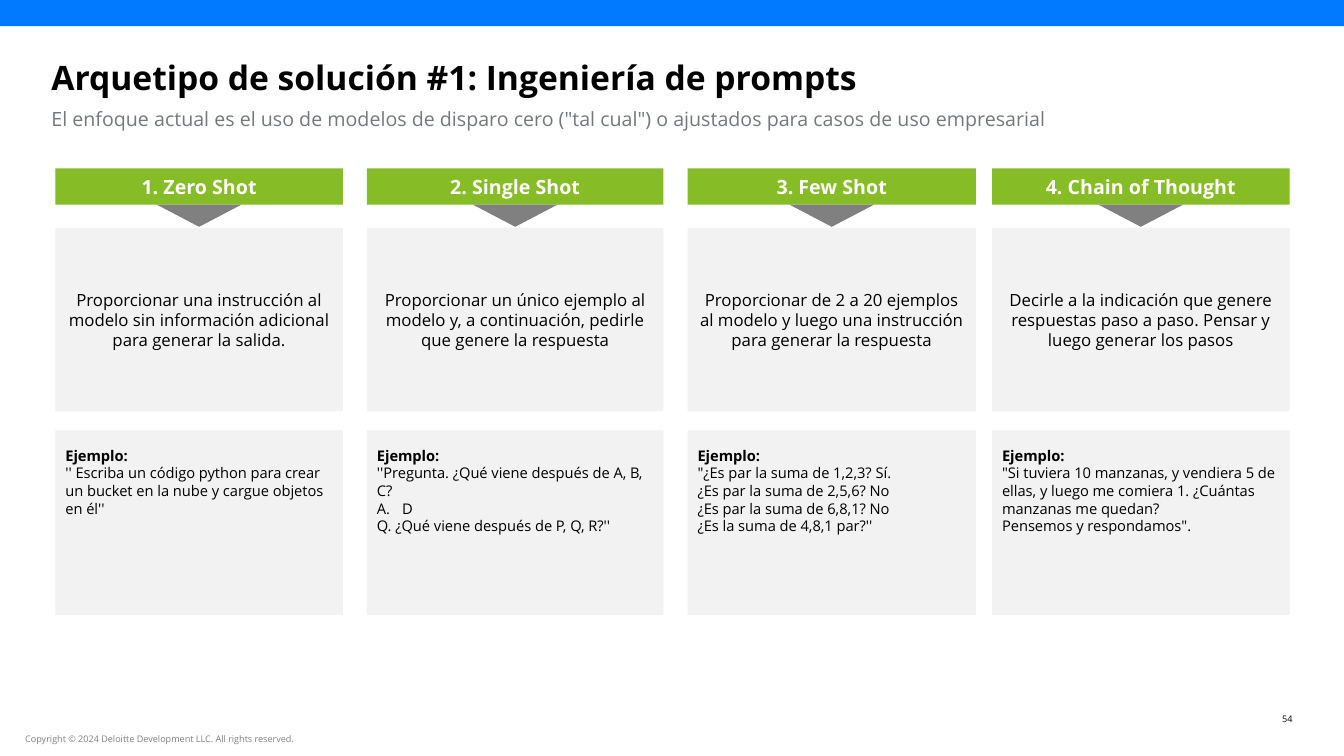
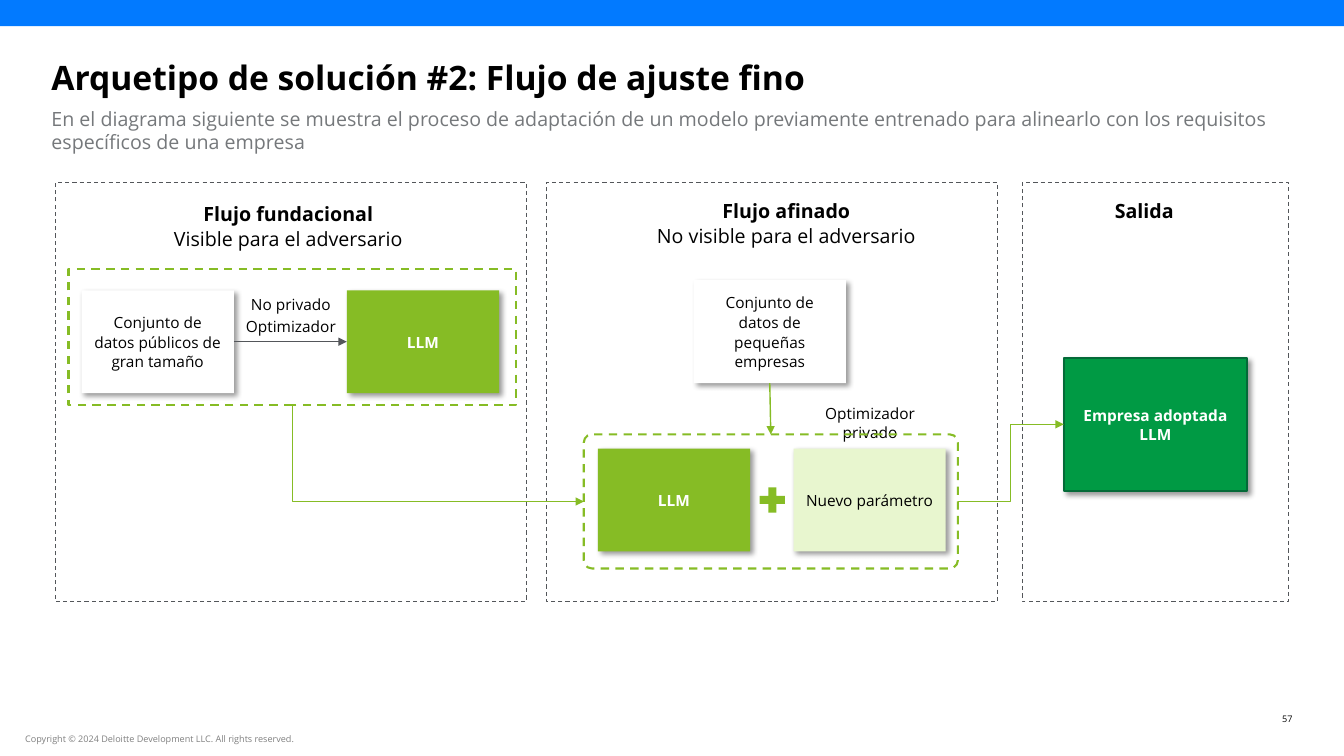
from lxml import etree
from pptx import Presentation
from pptx.dml.color import RGBColor
from pptx.enum.dml import MSO_LINE
from pptx.enum.shapes import MSO_CONNECTOR, MSO_SHAPE
from pptx.enum.text import MSO_ANCHOR, MSO_AUTO_SIZE, PP_ALIGN
from pptx.oxml.ns import qn
from pptx.util import Inches, Pt

RECT, ROUND = MSO_SHAPE.RECTANGLE, MSO_SHAPE.ROUNDED_RECTANGLE
MERGE, PLUS = MSO_SHAPE.FLOWCHART_MERGE, MSO_SHAPE.MATH_PLUS
STRAIGHT, ELBOW = MSO_CONNECTOR.STRAIGHT, MSO_CONNECTOR.ELBOW
LEFT, CENTER, RIGHT = PP_ALIGN.LEFT, PP_ALIGN.CENTER, PP_ALIGN.RIGHT
TOP, MIDDLE = MSO_ANCHOR.TOP, MSO_ANCHOR.MIDDLE
DASH = MSO_LINE.DASH

BLACK = RGBColor(0x00, 0x00, 0x00)
WHITE = RGBColor(0xFF, 0xFF, 0xFF)
BLUE = RGBColor(0x02, 0x7A, 0xFF)
LIME = RGBColor(0x86, 0xBC, 0x25)
PALE = RGBColor(0xE8, 0xF6, 0xCF)
GREEN = RGBColor(0x00, 0x9A, 0x44)
FOREST = RGBColor(0x04, 0x6A, 0x38)
LIGHT = RGBColor(0xF2, 0xF2, 0xF2)
GRAY = RGBColor(0x80, 0x80, 0x80)
SLATE = RGBColor(0x75, 0x78, 0x7B)
DARK = RGBColor(0x53, 0x56, 0x5A)

FONT = "Open Sans"
NONE = (0, 0, 0, 0)
PAD = (0.1, 0.05, 0.1, 0.05)
COPY = "Copyright © 2024 Deloitte Development LLC. All rights reserved."
HEAD = {"size": 14, "bold": True, "color": WHITE}
NOTE = {"size": 12}
CODE = {"size": 10.5, "align": LEFT, "anchor": TOP, "inset": (0.1, 0.16, 0.1, 0.05)}
NODE = {"size": 11, "spacing": 1.06, "inset": (0.1,) * 4}
STRONG = {**NODE, "bold": True, "color": WHITE}
LABEL = {"size": 11, "anchor": TOP, "inset": NONE}
STAGE = {"size": 14, "spacing": 1.06, "anchor": TOP}
CARD = (1.51, 1.02)


def write(frame, lines, size=12, bold=False, color=BLACK, align=CENTER,
          anchor=MIDDLE, inset=PAD, spacing=None, gap=0):
    """Fill a frame; a line is text or (text, changes), where a change may be a numbered list."""
    look = {"word_wrap": True, "auto_size": MSO_AUTO_SIZE.NONE, "vertical_anchor": anchor}
    sides = ("margin_left", "margin_top", "margin_right", "margin_bottom")
    look.update(zip(sides, map(Inches, inset)))
    for name, value in look.items():
        setattr(frame, name, value)
    for i, line in enumerate(lines):
        text, change = (line, {}) if isinstance(line, str) else line
        para = frame.paragraphs[0] if i == 0 else frame.add_paragraph()
        para.text = text
        form = {"alignment": align, "line_spacing": spacing,
                "space_before": Pt(gap if i else 0)}
        for name, value in form.items():
            setattr(para, name, value)
        props = para._p.get_or_add_pPr()
        mark = change.get("list")
        indent = Inches(0.25) if mark else 0
        props.set("marL", str(indent))
        props.set("indent", str(-indent))
        if mark:
            etree.SubElement(props, qn("a:buAutoNum"), type=mark)
        else:
            etree.SubElement(props, qn("a:buNone"))
        style = {"name": FONT, "size": Pt(size), "bold": change.get("bold", bold)}
        for name, value in style.items():
            setattr(para.font, name, value)
        para.font.color.rgb = color


def place(shape, at):
    for name, value in zip(("left", "top", "width", "height"), at):
        setattr(shape, name, Inches(value))


def stroke(line, color, width, dash=None):
    line.color.rgb = color
    line.width = Pt(width)
    if dash:
        line.dash_style = dash


def draw(slide, at, fill=None, line=None, kind=RECT, lines=(), text=None):
    shape = slide.shapes.add_shape(kind, *map(Inches, at))
    shape.shadow.inherit = False
    if fill is None:
        shape.fill.background()
    else:
        shape.fill.solid()
        shape.fill.fore_color.rgb = fill
    if line:
        stroke(shape.line, *line)
    else:
        shape.line.fill.background()
    if lines:
        write(shape.text_frame, lines, **text)
    return shape


def label(slide, at, lines, **text):
    box = slide.shapes.add_textbox(*map(Inches, at))
    write(box.text_frame, lines, **text)


def card(slide, at, fill, lines, text=NODE, line=None):
    """Draw a box with a soft shadow to the lower right."""
    shape = draw(slide, at, fill, line, lines=lines, text=text)
    effects = shape._element.spPr.find(qn("a:effectLst"))
    shade = etree.SubElement(effects, qn("a:outerShdw"), blurRad=str(Pt(4)),
                             dist=str(Pt(3)), dir="2700000", algn="tl", rotWithShape="0")
    tone = etree.SubElement(shade, qn("a:srgbClr"), val="000000")
    etree.SubElement(tone, qn("a:alpha"), val="40000")
    return shape


def arrow(slide, start, end, sides, color=LIME, width=1, kind=STRAIGHT):
    link = slide.shapes.add_connector(kind, 0, 0, 0, 0)
    link.begin_connect(start, sides[0])
    link.end_connect(end, sides[1])
    stroke(link.line, color, width)
    etree.SubElement(link.line._get_or_add_ln(), qn("a:tailEnd"), type="triangle")
    etree.SubElement(link._element.spPr, qn("a:effectLst"))
    return link


def corner(link):
    """Turn an elbow into one bend that goes down, then right."""
    x, y, w, h = link.left, link.top, link.width, link.height
    link.left, link.top = x + (w - h) // 2, y + (h - w) // 2
    link.width, link.height = h, w
    props = link._element.spPr
    frame = props.find(qn("a:xfrm"))
    frame.set("rot", "16200000")
    frame.set("flipH", "1")
    props.find(qn("a:prstGeom")).set("prst", "bentConnector2")


def base(deck, title, lead, page):
    """Add a slide with the shared band, title, lead and footer."""
    slide = deck.slides.add_slide(deck.slide_layouts[1])
    head, body = slide.placeholders
    plain = {"align": LEFT, "anchor": TOP, "inset": NONE}
    place(head, (0.51, 0.56, 12.31, 0.37))
    write(head.text_frame, [title], size=24, bold=True, **plain)
    place(body, (0.51, 1.06, 12.31, 0.47))
    write(body.text_frame, [lead], size=14, color=SLATE, **plain)
    draw(slide, (0, 0, 13.33, 0.26), BLUE)
    label(slide, (0.25, 7.28, 5.86, 0.11), [COPY], size=6.5, color=GRAY, **plain)
    label(slide, (12.48, 7.08, 0.34, 0.11), [page], size=6.5, **{**plain, "align": RIGHT})
    return slide


def column(slide, x, y, w, head, note, sample):
    draw(slide, (x, y, w, 0.36), LIME, lines=[head], text=HEAD)
    draw(slide, (x + (w - 0.84) / 2, y + 0.36, 0.84, 0.22), GRAY, kind=MERGE)
    draw(slide, (x, y + 0.59, w, 1.82), LIGHT, lines=[note], text=NOTE)
    lines = [("Ejemplo:", {"bold": True}), *sample]
    draw(slide, (x, y + 2.6, w, 1.83), LIGHT, lines=lines, text=CODE)


def prompts(deck):
    slide = base(
        deck, "Arquetipo de solución #1: Ingeniería de prompts",
        'El enfoque actual es el uso de modelos de disparo cero ("tal cual") o ajustados '
        "para casos de uso empresarial", "54")
    columns = [
        (0.55, 2.85, "1. Zero Shot",
         "Proporcionar una instrucción al modelo sin información adicional para generar "
         "la salida.",
         ["'' Escriba un código python para crear un bucket en la nube y cargue objetos "
          "en él''"]),
        (3.64, 2.94, "2. Single Shot",
         "Proporcionar un único ejemplo al modelo y, a continuación, pedirle que genere "
         "la respuesta",
         ["''Pregunta. ¿Qué viene después de A, B, C?", ("D", {"list": "alphaUcPeriod"}),
          "Q. ¿Qué viene después de P, Q, R?''"]),
        (6.82, 2.86, "3. Few Shot",
         "Proporcionar de 2 a 20 ejemplos al modelo y luego una instrucción para generar "
         "la respuesta",
         ['"¿Es par la suma de 1,2,3? Sí.', "¿Es par la suma de 2,5,6? No",
          "¿Es par la suma de 6,8,1? No", "¿Es la suma de 4,8,1 par?''"]),
        (9.84, 2.95, "4. Chain of Thought",
         "Decirle a la indicación que genere respuestas paso a paso. Pensar y luego "
         "generar los pasos",
         ['"Si tuviera 10 manzanas, y vendiera 5 de ellas, y luego me comiera 1. '
          '¿Cuántas manzanas me quedan?', 'Pensemos y respondamos".']),
    ]
    for x, w, *texts in columns:
        column(slide, x, 1.67, w, *texts)


def panel(slide, x, y, w, shift, drop, title, *rest):
    """Draw a dashed stage whose heading sits at an offset from its corner."""
    draw(slide, (x, y, w, 4.16), line=(DARK, 0.75, DASH))
    label(slide, (x + shift, y + drop, 2.78, 0.59), [(title, {"bold": True}), *rest], **STAGE)


def source(slide, x, y):
    """Draw the foundation stage and return its dashed group."""
    panel(slide, x, y, 4.67, 0.92, 0.13, "Flujo fundacional", "Visible para el adversario")
    group = draw(slide, (x + 0.13, y + 0.86, 4.44, 1.35), line=(LIME, 1.5, DASH))
    data = card(slide, (x + 0.26, y + 1.07, *CARD), WHITE,
                ["Conjunto de datos públicos de gran tamaño"])
    model = card(slide, (x + 2.89, y + 1.07, *CARD), LIME, ["LLM"], STRONG)
    arrow(slide, data, model, (3, 1), DARK, 0.75)
    label(slide, (x + 1.79, y + 1.12, 1.09, 0.4), ["No privado", "Optimizador"],
          gap=2, **LABEL)
    return group


def tuning(slide, x, y):
    """Draw the tuned stage and return its dashed group."""
    panel(slide, x, y, 4.47, 0.99, 0.1, "Flujo afinado", "No visible para el adversario")
    data = card(slide, (x + 1.46, y + 0.97, *CARD), WHITE,
                ["Conjunto de datos de pequeñas empresas"])
    card(slide, (x + 0.51, y + 2.64, *CARD), LIME, ["LLM"], STRONG)
    draw(slide, (x + 2.07, y + 2.98, 0.34, 0.34), LIME, kind=PLUS)
    card(slide, (x + 2.45, y + 2.64, *CARD), PALE, ["Nuevo parámetro"])
    label(slide, (x + 2.52, y + 2.2, 1.38, 0.19), ["Optimizador privado"], **LABEL)
    group = draw(slide, (x + 0.37, y + 2.5, 3.71, 1.33), line=(LIME, 1.5, DASH), kind=ROUND)
    group.adjustments[0] = 0.06
    arrow(slide, data, group, (2, 0))
    return group


def output(slide, x, y):
    """Draw the output stage and return its model."""
    panel(slide, x, y, 2.64, -0.18, 0.1, "Salida")
    return card(slide, (x + 0.41, y + 1.74, 1.82, 1.32), GREEN,
                ["Empresa adoptada", "LLM"], STRONG, (FOREST, 1.5))


def flow(deck):
    slide = base(
        deck, "Arquetipo de solución #2: Flujo de ajuste fino",
        "En el diagrama siguiente se muestra el proceso de adaptación de un modelo "
        "previamente entrenado para alinearlo con los requisitos específicos de una empresa",
        "57")
    first = source(slide, 0.55, 1.81)
    second = tuning(slide, 5.42, 1.81)
    last = output(slide, 10.14, 1.81)
    corner(arrow(slide, first, second, (2, 1), kind=ELBOW))
    arrow(slide, second, last, (3, 1), kind=ELBOW)


def main():
    deck = Presentation()
    deck.slide_width, deck.slide_height = Inches(13.33), Inches(7.5)
    prompts(deck)
    flow(deck)
    deck.save("out.pptx")


if __name__ == "__main__":
    main()
